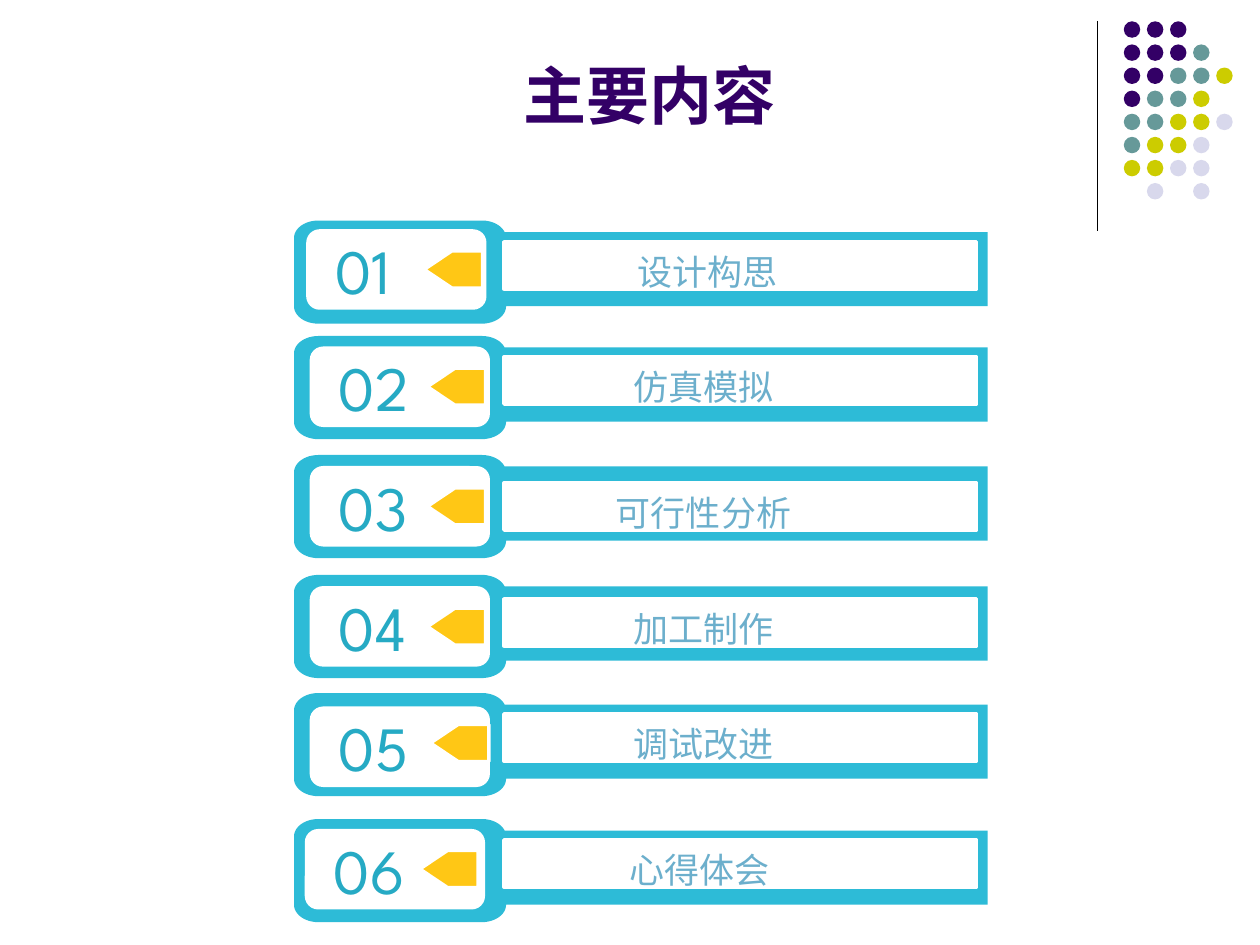
from math import cos, radians, sin

from lxml import etree
from pptx import Presentation
from pptx.dml.color import RGBColor
from pptx.enum.shapes import MSO_CONNECTOR, MSO_SHAPE
from pptx.enum.text import MSO_ANCHOR, MSO_AUTO_SIZE, PP_ALIGN
from pptx.oxml.ns import qn
from pptx.util import Pt

OVAL, RECTANGLE = MSO_SHAPE.OVAL, MSO_SHAPE.RECTANGLE
ROUNDED = MSO_SHAPE.ROUNDED_RECTANGLE
STRAIGHT = MSO_CONNECTOR.STRAIGHT
MIDDLE, BOTTOM = MSO_ANCHOR.MIDDLE, MSO_ANCHOR.BOTTOM
LEFT, CENTER = PP_ALIGN.LEFT, PP_ALIGN.CENTER
NO_AUTOFIT = MSO_AUTO_SIZE.NONE

COLORS = {
    "purple": "330066", "sage": "669999", "olive": "CCCC00", "lilac": "D8D8EC",
    "frame": "2DBBD7", "number": "26AAC4", "label": "6CAFCC",
    "tag": "FFC715", "white": "FFFFFF", "black": "000000",
}
DOT_COLORS = {"P": "purple", "S": "sage", "O": "olive", "L": "lilac"}
DOT_ROWS = ["PPP", "PPPS", "PPSSO", "PSSO", "SSOOL", "SOOL", "OOLL", ".L.L"]
DOT_LEFT, DOT_TOP, DOT_SIZE, DOT_PITCH = 642.2, 12.2, 9.4, 13.2

FRAME_LEFT, FRAME_RIGHT, FRAME_HEIGHT = 168, 564.3, 59
TAB_RIGHT, CORNER_X, CORNER_Y = 289.2, 14, 10

# label, its shift, frame top, panel left and top, tag left and top, label top
ITEMS = [
    ("设计构思", 13.5, 126, 175, 131, 242.4, 143.4, 138.1),
    ("仿真模拟", 9, 192, 177, 198, 244.2, 210.4, 203.9),
    ("可行性分析", 9, 260, 177, 266.3, 244.2, 278.8, 275.9),
    ("加工制作", 9, 328.5, 177, 334.9, 244.2, 347.5, 342.1),
    ("调试改进", 9, 396, 177, 403.7, 246, 414, 408),
    ("心得体会", 4.5, 468, 174.2, 473.7, 239.9, 486, 480),
]


def rgb(name):
    return RGBColor.from_string(COLORS[name])


def paint(shape, fill, line=None):
    shape.shadow.inherit = False
    shape.fill.solid()
    shape.fill.fore_color.rgb = rgb(fill)
    if line:
        shape.line.color.rgb = rgb(line)
        shape.line.width = Pt(2)
    else:
        shape.line.fill.background()


def add_box(shapes, kind, left, top, width, height, fill, line=None):
    box = shapes.add_shape(kind, Pt(left), Pt(top), Pt(width), Pt(height))
    paint(box, fill, line)
    return box


def add_outline(page, points, fill, line=None):
    start, *rest = [(Pt(x), Pt(y)) for x, y in points]
    builder = page.shapes.build_freeform(*start)
    builder.add_line_segments(rest, close=True)
    paint(builder.convert_to_shape(), fill, line)


def write(box, text, font, size, color, align, left=0, right=0):
    frame = box.text_frame
    frame.vertical_anchor = MIDDLE
    frame.margin_left, frame.margin_right = Pt(left), Pt(right)
    frame.margin_top = frame.margin_bottom = 0
    frame.text = text
    para = frame.paragraphs[0]
    para.alignment = align
    span = para.runs[0]
    span.font.name, span.font.size = font, Pt(size)
    span.font.color.rgb = rgb(color)
    east_asian = etree.SubElement(span.font._element, qn("a:ea"))
    east_asian.set("typeface", font)
    return para


def corner(center_x, center_y, first, last):
    """Points on a frame corner, angles in degrees clockwise from the right."""
    steps = 12
    angles = [radians(first + (last - first) * i / steps) for i in range(steps + 1)]
    return [(center_x + CORNER_X * cos(a), center_y + CORNER_Y * sin(a)) for a in angles]


def add_frame(page, top):
    """Rounded tab on the left, joined to a square bar on the right."""
    left_x, right_x = FRAME_LEFT + CORNER_X, TAB_RIGHT - CORNER_X
    upper_y, lower_y = top + CORNER_Y, top + FRAME_HEIGHT - CORNER_Y
    upper_right = corner(right_x, upper_y, -90, -20)
    bar_top = upper_right[-1][1]
    points = (
        upper_right
        + [(FRAME_RIGHT, bar_top), (FRAME_RIGHT, lower_y)]
        + corner(right_x, lower_y, 0, 90)
        + corner(left_x, lower_y, 90, 180)
        + corner(left_x, upper_y, 180, 270)
    )
    add_outline(page, points, "frame")


def add_tag(page, left, top):
    width, height, tip = 33.4, 21.2, 15.8
    right, bottom = left + width, top + height
    points = [(right, top), (left + tip, top), (left, top + height / 2),
              (left + tip, bottom), (right, bottom)]
    add_outline(page, points, "tag", "white")


def add_item(page, number, item):
    label, shift, frame_top, panel_left, panel_top, tag_left, tag_top, label_top = item
    add_frame(page, frame_top)
    panel = add_box(page.shapes, ROUNDED, panel_left, panel_top, 103, 46, "white")
    write(panel, f"{number:02}", "League Spartan", 36, "number", LEFT, left=14.4)
    bar = add_box(page.shapes, RECTANGLE, 288, label_top, 270, 27, "white", "white")
    para = write(bar, label, "Noto Sans CJK JP", 20, "label", CENTER, shift, 51)
    para.line_spacing = 1.3
    add_tag(page, tag_left, tag_top)


def add_dots(page):
    group = page.shapes.add_group_shape()
    for row, codes in enumerate(DOT_ROWS):
        for column, code in enumerate(codes):
            if code in DOT_COLORS:
                add_box(group.shapes, OVAL, DOT_LEFT + column * DOT_PITCH,
                        DOT_TOP + row * DOT_PITCH, DOT_SIZE, DOT_SIZE, DOT_COLORS[code])


def add_rule(page):
    rule = page.shapes.add_connector(STRAIGHT, Pt(627), Pt(12), Pt(627), Pt(132))
    rule.line.color.rgb = rgb("black")
    rule.line.width = Pt(0.75)
    etree.SubElement(rule._element.spPr, qn("a:effectLst"))


def set_title(page, text):
    title = page.shapes.title
    title.left, title.top, title.width, title.height = Pt(78), Pt(24), Pt(586), Pt(55)
    frame = title.text_frame
    frame.text = text
    frame.auto_size = NO_AUTOFIT
    frame.vertical_anchor = BOTTOM
    para = frame.paragraphs[0]
    para.alignment = CENTER
    font = para.runs[0].font
    font.name, font.size, font.bold = "Arial", Pt(36), True
    font.color.rgb = rgb("purple")


def main():
    deck = Presentation()
    deck.slide_width, deck.slide_height = Pt(720), Pt(540)
    page = deck.slides.add_slide(deck.slide_layouts[5])
    add_rule(page)
    add_dots(page)
    set_title(page, "主要内容")
    for number, item in enumerate(ITEMS, 1):
        add_item(page, number, item)
    deck.save("out.pptx")


if __name__ == "__main__":
    main()
